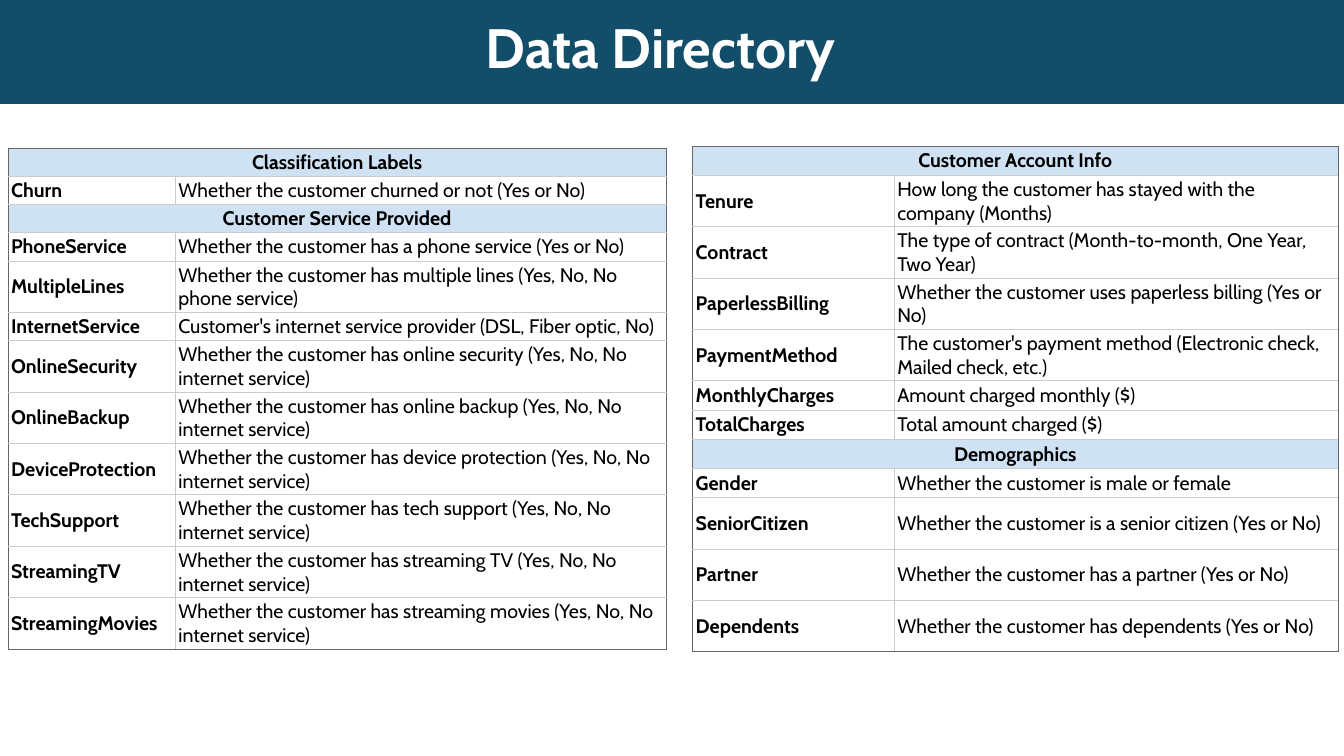
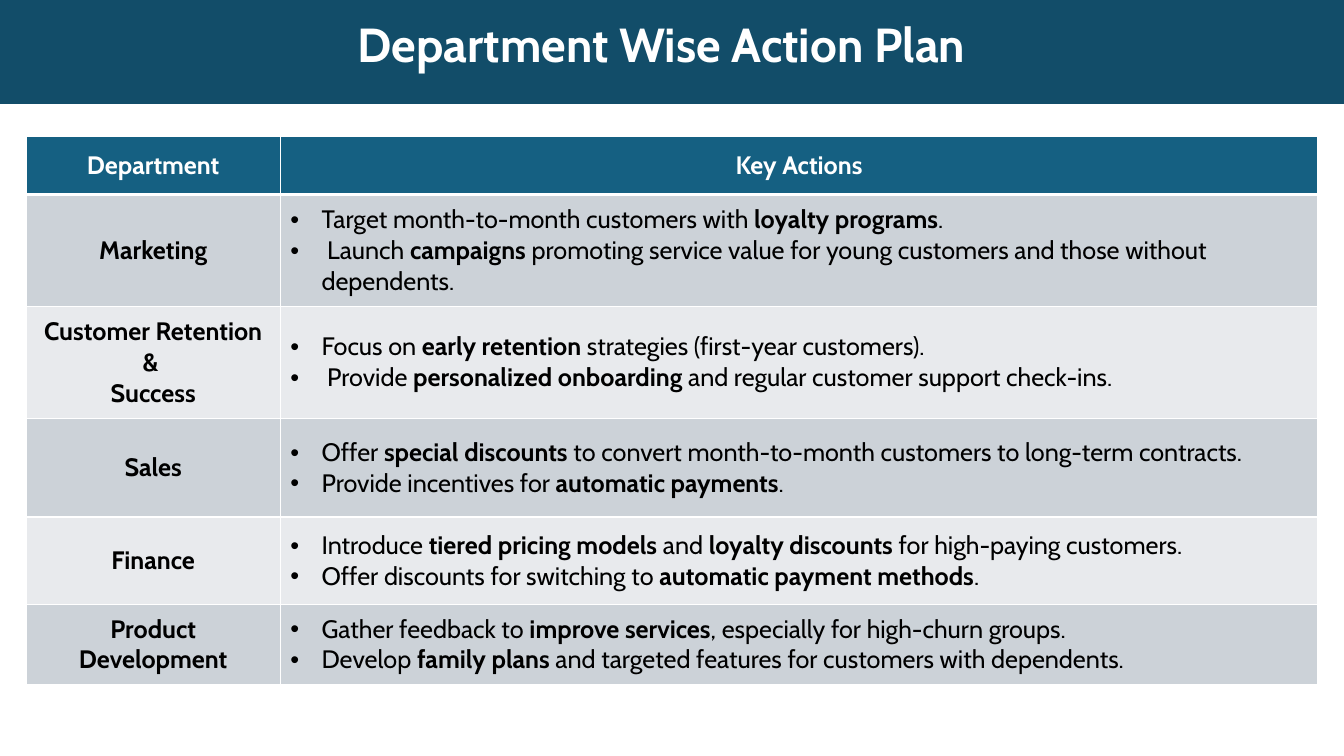
from lxml import etree
from pptx import Presentation
from pptx.dml.color import RGBColor
from pptx.enum import shapes, text
from pptx.oxml import ns
from pptx.util import Inches, Pt

FONT = "Cabin"
WHITE = RGBColor(0xFF, 0xFF, 0xFF)
BLACK = RGBColor(0, 0, 0)
BAND = RGBColor(0x12, 0x4D, 0x69)
SECTION = RGBColor(0xCF, 0xE2, 0xF3)
GRID = RGBColor(0xCC, 0xCC, 0xCC)
FRAME = RGBColor(0x66, 0x66, 0x66)
HEADER = RGBColor(0x15, 0x60, 0x82)
ROW_DARK = RGBColor(0xCC, 0xD2, 0xD8)
ROW_LIGHT = RGBColor(0xE8, 0xEA, 0xED)

SLIDE_W, SLIDE_H = 13.33, 7.5
ONE_LINE, TWO_LINES = 0.29, 0.51
BULLET_INDENT = Inches(0.31)

# A section is (heading, [(field, meaning, row height)]).
SERVICE_SECTIONS = [
    ("Classification Labels", [
        ("Churn", "Whether the customer churned or not (Yes or No)", ONE_LINE),
    ]),
    ("Customer Service Provided", [
        ("PhoneService", "Whether the customer has a phone service (Yes or No)", ONE_LINE),
        ("MultipleLines", "Whether the customer has multiple lines (Yes, No, No phone service)", TWO_LINES),
        ("InternetService", "Customer's internet service provider (DSL, Fiber optic, No)", ONE_LINE),
    ] + [
        (field, f"Whether the customer has {service} (Yes, No, No internet service)", TWO_LINES)
        for field, service in [
            ("OnlineSecurity", "online security"),
            ("OnlineBackup", "online backup"),
            ("DeviceProtection", "device protection"),
            ("TechSupport", "tech support"),
            ("StreamingTV", "streaming TV"),
            ("StreamingMovies", "streaming movies"),
        ]
    ]),
]
ACCOUNT_SECTIONS = [
    ("Customer Account Info", [
        ("Tenure", "How long the customer has stayed with the company (Months)", TWO_LINES),
        ("Contract", "The type of contract (Month-to-month, One Year, Two Year)", TWO_LINES),
        ("PaperlessBilling", "Whether the customer uses paperless billing (Yes or No)", TWO_LINES),
        ("PaymentMethod", "The customer's payment method (Electronic check, Mailed check, etc.)", TWO_LINES),
        ("MonthlyCharges", "Amount charged monthly ($)", ONE_LINE),
        ("TotalCharges", "Total amount charged ($)", ONE_LINE),
    ]),
    ("Demographics", [
        ("Gender", "Whether the customer is male or female", ONE_LINE),
        ("SeniorCitizen", "Whether the customer is a senior citizen (Yes or No)", TWO_LINES),
        ("Partner", "Whether the customer has a partner (Yes or No)", TWO_LINES),
        ("Dependents", "Whether the customer has dependents (Yes or No)", TWO_LINES),
    ]),
]

# A department is (name lines, actions, row height); *stars* mark bold words.
DEPARTMENTS = [
    (["Marketing"],
     ["Target month-to-month customers with *loyalty programs*.",
      " Launch *campaigns* promoting service value for young customers and those without dependents."],
     1.11),
    (["Customer Retention & ", "Success"],
     ["Focus on *early retention* strategies (first-year customers).",
      " Provide *personalized onboarding* and regular customer support check-ins."],
     1.11),
    (["Sales"],
     ["Offer *special discounts* to convert month-to-month customers to long-term contracts.",
      "Provide incentives for *automatic payments*."],
     0.98),
    (["Finance"],
     ["Introduce *tiered pricing models* and *loyalty discounts* for high-paying customers.",
      "Offer discounts for switching to *automatic payment methods*."],
     0.87),
    (["Product Development"],
     ["Gather feedback to *improve services*, especially for high-churn groups.",
      "Develop *family plans* and targeted features for customers with dependents."],
     0.79),
]


def add_run(p, words, size, color, bold):
    r = p.add_run()
    r.text = words
    r.font.name, r.font.size, r.font.bold = FONT, Pt(size), bold
    r.font.color.rgb = color


def add_bullet(p):
    pPr = p._p.get_or_add_pPr()
    pPr.set("marL", str(BULLET_INDENT))
    pPr.set("indent", str(-BULLET_INDENT))
    etree.SubElement(pPr, ns.qn("a:buFont"), typeface="Arial")
    etree.SubElement(pPr, ns.qn("a:buChar"), char="•")


def set_borders(cell, left, right, top, bottom):
    """Each side is a (colour, points) pair."""
    tcPr = cell._tc.get_or_add_tcPr()
    sides = zip(("a:lnL", "a:lnR", "a:lnT", "a:lnB"), (left, right, top, bottom))
    for i, (tag, (color, width)) in enumerate(sides):
        ln = etree.Element(ns.qn(tag), w=str(Pt(width)))
        fill = etree.SubElement(ln, ns.qn("a:solidFill"))
        etree.SubElement(fill, ns.qn("a:srgbClr"), val=str(color))
        tcPr.insert(i, ln)


def fill_cell(cell, lines, size, color=BLACK, bold=False, fill=None, center=False, bullets=False):
    """Write one paragraph per line; *stars* switch bold on and off."""
    cell.vertical_anchor = text.MSO_ANCHOR.MIDDLE
    if fill is None:
        cell.fill.background()
    else:
        cell.fill.solid()
        cell.fill.fore_color.rgb = fill
    tf = cell.text_frame
    for i, line in enumerate(lines):
        p = tf.paragraphs[0] if i == 0 else tf.add_paragraph()
        if center:
            p.alignment = text.PP_ALIGN.CENTER
        if bullets:
            add_bullet(p)
        for j, words in enumerate(line.split("*")):
            add_run(p, words, size, color, bold or j % 2 == 1)


def add_plain_table(s, left, top, cols, rows):
    """Add a table without banding from column widths and row heights in inches."""
    table = s.shapes.add_table(len(rows), len(cols), Inches(left), Inches(top),
                               Inches(sum(cols)), Inches(sum(rows))).table
    table.first_row = table.horz_banding = False
    for column, width in zip(table.columns, cols):
        column.width = Inches(width)
    for row, height in zip(table.rows, rows):
        row.height = Inches(height)
    return table


def add_title_band(s, title, left, top, width, height, size, spacing):
    band = s.shapes.add_shape(shapes.MSO_SHAPE.RECTANGLE, 0, Inches(-0.01),
                              Inches(SLIDE_W), Inches(1.04))
    band.shadow.inherit = False
    band.fill.solid()
    band.fill.fore_color.rgb = BAND
    band.line.fill.background()
    tf = s.shapes.add_textbox(Inches(left), Inches(top), Inches(width), Inches(height)).text_frame
    tf.word_wrap = True
    tf.vertical_anchor = text.MSO_ANCHOR.MIDDLE
    p = tf.paragraphs[0]
    p.line_spacing = spacing
    add_run(p, title, size, WHITE, True)


def add_directory(s, left, top, cols, sections, one_line=ONE_LINE):
    """Add a table of fields under section headings, framed in a darker line."""
    entries = []
    for heading, fields in sections:
        entries.append((heading, None, one_line))
        entries += [(f, m, one_line if h == ONE_LINE else h) for f, m, h in fields]
    table = add_plain_table(s, left, top, cols, [h for _, _, h in entries])
    frame, grid = (FRAME, 0.75), (GRID, 0.75)
    last = len(entries) - 1
    for i, (field, meaning, _) in enumerate(entries):
        label, detail = table.cell(i, 0), table.cell(i, 1)
        is_heading = meaning is None
        if is_heading:
            label.merge(detail)
            fill_cell(label, [field], 14, bold=True, fill=SECTION, center=True)
        else:
            fill_cell(label, [field], 14, bold=True)
            fill_cell(detail, [meaning], 14)
        for cell in (label, detail):
            cell.margin_left = cell.margin_right = Inches(0.03)
            cell.margin_top = cell.margin_bottom = Inches(0.02)
        above = frame if i == 0 else grid
        below = frame if i == last else grid
        set_borders(label, frame, frame if is_heading else grid, above, below)
        set_borders(detail, grid, frame, above, below)


def add_action_plan(s, left, top, cols):
    table = add_plain_table(s, left, top, cols, [0.58] + [h for _, _, h in DEPARTMENTS])
    for cell, heading in zip(table.rows[0].cells, ("Department", "Key Actions")):
        fill_cell(cell, [heading], 18, WHITE, bold=True, fill=HEADER, center=True)
    for i, (name, actions, _) in enumerate(DEPARTMENTS, 1):
        fill = ROW_DARK if i % 2 else ROW_LIGHT
        fill_cell(table.cell(i, 0), name, 18, bold=True, fill=fill, center=True)
        fill_cell(table.cell(i, 1), actions, 18, fill=fill, bullets=True)
    thin, thick = (WHITE, 1), (WHITE, 3)
    for i, row in enumerate(table.rows):
        for cell in row.cells:
            set_borders(cell, thin, thin, thick if i == 1 else thin, thick if i == 0 else thin)


def build_directory_slide(s):
    add_title_band(s, "Data Directory", 4.72, 0.12, 4.3, 0.76, 39.6, 0.9)
    add_directory(s, 0.08, 1.47, (1.66, 4.87), SERVICE_SECTIONS, one_line=0.28)
    add_directory(s, 6.87, 1.45, (2, 4.4), ACCOUNT_SECTIONS)


def build_plan_slide(s):
    add_title_band(s, "Department Wise Action Plan", 3.45, 0.1, 6.44, 0.81, 34.1, 0.7)
    add_action_plan(s, 0.26, 1.35, (2.52, 10.29))


def main():
    prs = Presentation()
    prs.slide_width, prs.slide_height = Inches(SLIDE_W), Inches(SLIDE_H)
    for build in (build_directory_slide, build_plan_slide):
        build(prs.slides.add_slide(prs.slide_layouts[6]))
    prs.save("out.pptx")


if __name__ == "__main__":
    main()
